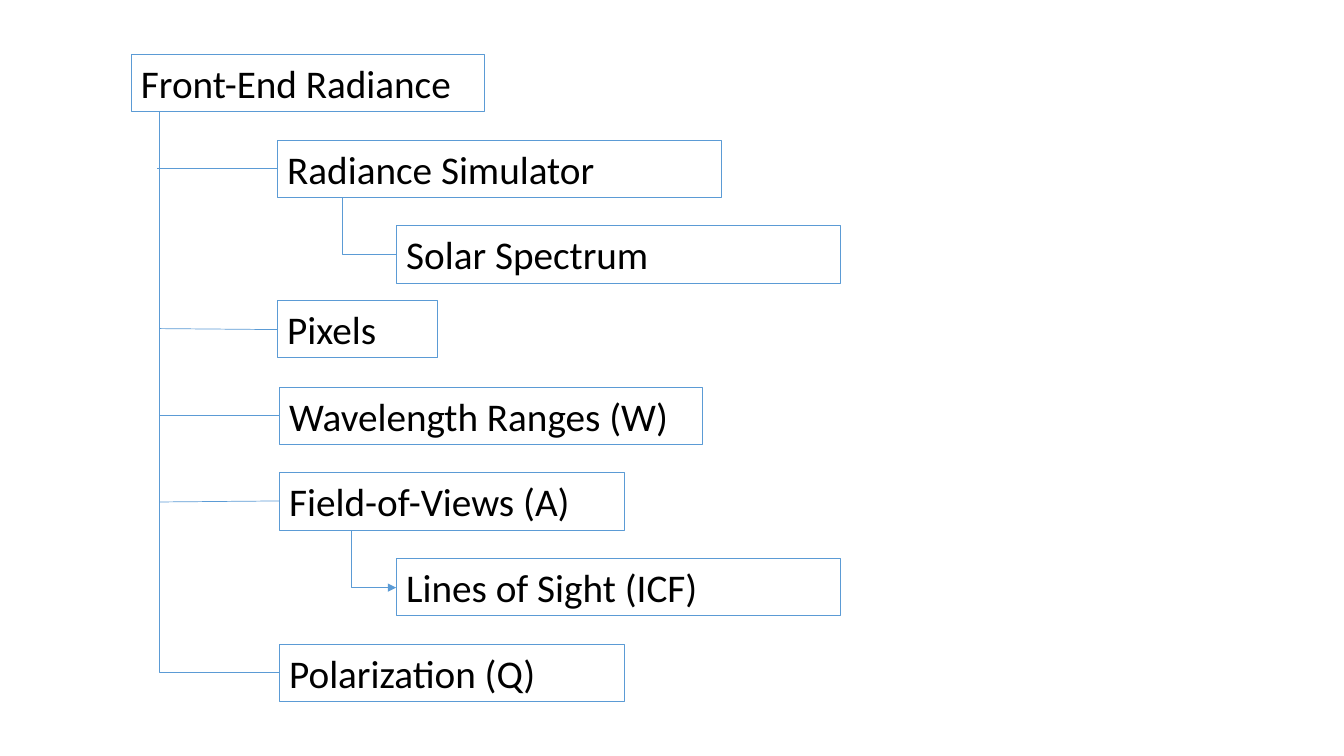
from lxml import etree
from pptx import Presentation, util as u
from pptx.dml.color import RGBColor
from pptx.enum import shapes, text
from pptx.oxml.ns import qn

HUES = {"edge": "5B9BD5", "ink": "000000"}
HIGH = 0.57


def write(frame, words, size=28, font="Calibri", hue="ink"):
    run = frame.paragraphs[0].add_run()
    run.text = words
    run.font.size = u.Pt(size)
    run.font.name = font
    run.font.color.rgb = RGBColor.from_string(HUES[hue])


class Tree:
    """Draws boxes and branches on one slide."""

    def __init__(self, slide):
        self.slide = slide

    def edge(self, line, width):
        line.color.rgb = RGBColor.from_string(HUES["edge"])
        line.width = u.Pt(width)

    def box(self, words, left, top, width):
        box = self.slide.shapes.add_textbox(
            *map(u.Inches, (left, top, width, HIGH)))
        self.edge(box.line, 0.75)
        frame = box.text_frame
        frame.word_wrap = True
        frame.auto_size = text.MSO_AUTO_SIZE.SHAPE_TO_FIT_TEXT
        write(frame, words)

    def link(self, kind, start, end):
        link = self.slide.shapes.add_connector(
            kind, *map(u.Inches, (*start, *end)))
        self.edge(link.line, 0.5)
        etree.SubElement(link._element.spPr, qn("a:effectLst"))
        return link

    def branch(self, start, end):
        self.link(shapes.MSO_CONNECTOR.STRAIGHT, start, end)

    def bend(self, start, end, arrow=False):
        (x1, y1), (x2, y2) = start, end
        midx, midy = (x1 + x2) / 2, (y1 + y2) / 2
        wide, tall = y2 - y1, x2 - x1
        left, top = midx - wide / 2, midy - tall / 2
        link = self.link(shapes.MSO_CONNECTOR.ELBOW, (left, top),
                         (left + wide, top + tall))
        props = link._element.spPr
        props.find(qn("a:prstGeom")).set("prst", "bentConnector2")
        frame = props.find(qn("a:xfrm"))
        frame.set("rot", str(270 * 60000))
        frame.set("flipH", "1")
        if arrow:
            line = props.find(qn("a:ln"))
            etree.SubElement(line, qn("a:tailEnd"), type="triangle")


def main():
    deck = Presentation()
    deck.slide_width, deck.slide_height = u.Inches(13.33), u.Inches(7.5)
    tree = Tree(deck.slides.add_slide(deck.slide_layouts[6]))

    for node in (
        ("Front-End Radiance", 1.3, 0.54, 3.51),
        ("Radiance Simulator", 2.75, 1.39, 4.41),
        ("Solar Spectrum", 3.93, 2.24, 4.41),
        ("Pixels", 2.75, 2.98, 1.59),
        ("Wavelength Ranges (W)", 2.77, 3.84, 4.2),
        ("Field-of-Views (A)", 2.77, 4.69, 3.42),
        ("Lines of Sight (ICF)", 3.93, 5.54, 4.41),
        ("Polarization (Q)", 2.77, 6.39, 3.42),
    ):
        tree.box(*node)

    for start, end in (
        ((2.75, 1.67), (1.56, 1.67)),
        ((2.75, 3.27), (1.58, 3.26)),
        ((2.77, 4.12), (1.58, 4.12)),
        ((2.77, 4.97), (1.58, 4.98)),
    ):
        tree.branch(start, end)

    tree.bend((1.58, 1.1), (2.77, 6.67))
    tree.bend((3.4, 1.96), (3.93, 2.52))
    tree.bend((3.49, 5.26), (3.93, 5.83), arrow=True)
    deck.save("out.pptx")


if __name__ == "__main__":
    main()
